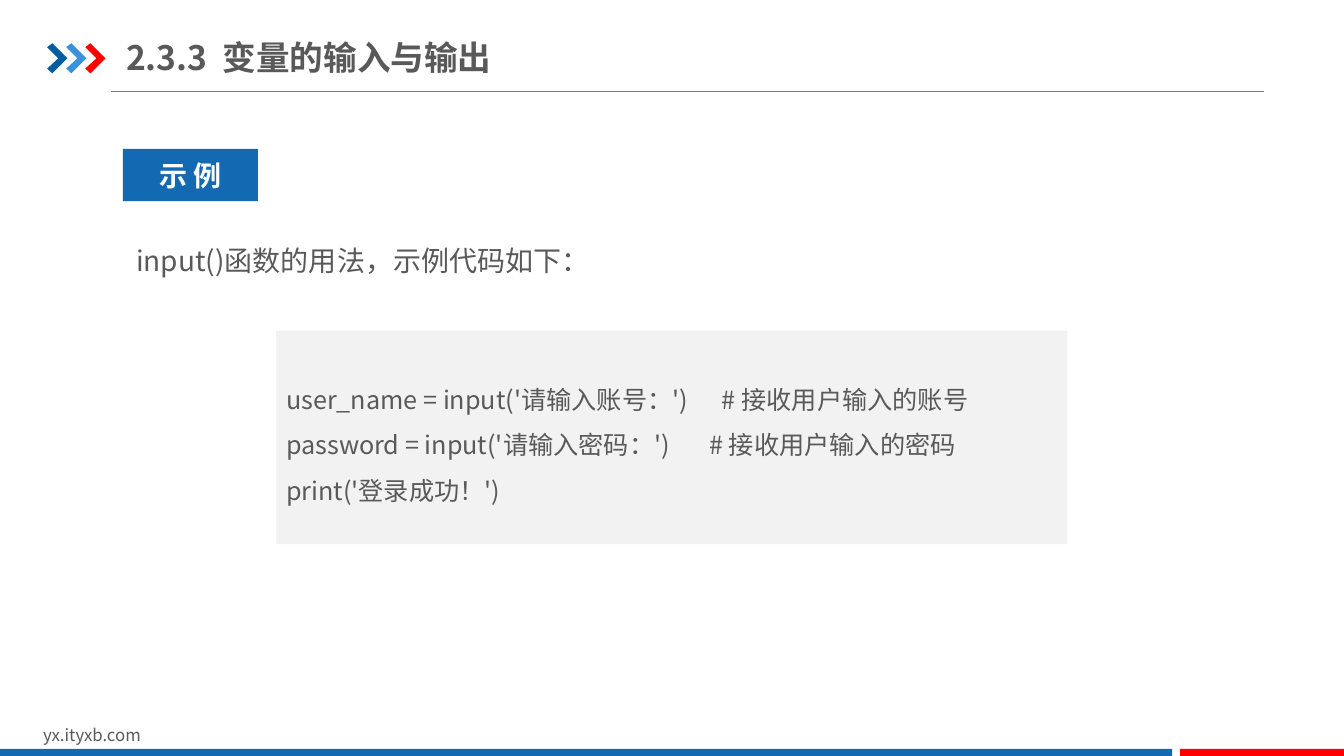
from dataclasses import dataclass
from typing import Optional

from lxml import etree
from pptx import Presentation
from pptx import util as u
from pptx.dml import color
from pptx.enum import shapes, text
from pptx.oxml import ns

FONT = "Noto Sans CJK SC"
GREY = "595959"
BLUE = "1369B2"
RED = "FF0000"
MID = text.MSO_ANCHOR.MIDDLE
TOP = text.MSO_ANCHOR.TOP
LEFT = text.PP_ALIGN.LEFT


@dataclass
class Box:
    left: float
    top: float
    width: float
    height: float
    lines: tuple[str, ...] = ()
    fill: Optional[str] = None
    size: int = 12
    ink: str = GREY
    bold: bool = False
    align: text.PP_ALIGN = LEFT
    anchor: text.MSO_ANCHOR = TOP
    gap: float = 1.0
    inset: tuple[float, float] = (0.25, 0.13)


@dataclass
class Arrow:
    left: float
    fill: str


BOXES = (
    Box(0.84, 18.14, 8.08, 0.76, ("yx.ityxb.com",)),
    Box(0, 18.87, 29.54, 0.18, fill=BLUE),
    Box(29.74, 18.87, 4.13, 0.18, fill=RED),
    Box(3.18, 0.74, 12.75, 1.4, ("2.3.3  变量的输入与输出",), size=24,
        bold=True, anchor=MID, inset=(0, 0.18)),
    Box(3.1, 3.75, 3.4, 1.32, ("示 例",), BLUE, 20, "FFFFFF", True,
        text.PP_ALIGN.CENTER, MID),
    Box(3.1, 5.54, 28.58, 2.18, ("input()函数的用法，示例代码如下：",),
        size=20, align=text.PP_ALIGN.JUSTIFY, gap=1.5, inset=(0.33, 0.18)),
    Box(6.96, 8.33, 19.94, 5.38, (
        "user_name = input('请输入账号：')      # 接收用户输入的账号",
        "password = input('请输入密码：')       # 接收用户输入的密码",
        "print('登录成功！')",
    ), "F2F2F2", 18, anchor=MID, gap=1.5),
)
ARROWS = tuple(
    Arrow(1.19 + 0.48 * i, fill)
    for i, fill in enumerate(("005DA2", "3992DB", RED))
)
EDGE = ((0, 0.1), (0.13, 0), (0.51, 0.38), (0.13, 0.76), (0, 0.64), (0.28, 0.38))


def rgb(code: str) -> color.RGBColor:
    return color.RGBColor.from_string(code)


def paint(shape, fill: str) -> None:
    shape.shadow.inherit = False
    shape.fill.solid()
    shape.fill.fore_color.rgb = rgb(fill)
    shape.line.fill.background()


def write(frame, box: Box) -> None:
    frame.word_wrap = True
    frame.vertical_anchor = box.anchor
    frame.margin_left = frame.margin_right = u.Cm(box.inset[0])
    frame.margin_top = frame.margin_bottom = u.Cm(box.inset[1])
    for i, line in enumerate(box.lines):
        para = frame.add_paragraph() if i else frame.paragraphs[0]
        para.text = line
        para.alignment = box.align
        para.line_spacing = box.gap
        font = para.font
        font.size = u.Pt(box.size)
        font.bold = box.bold
        font.color.rgb = rgb(box.ink)
        font.name = FONT
        props = para._p.pPr.find(ns.qn("a:defRPr"))
        etree.SubElement(props, ns.qn("a:ea"), typeface=FONT)


def add_box(slide, box: Box) -> None:
    area = [u.Cm(n) for n in (box.left, box.top, box.width, box.height)]
    if box.fill:
        shape = slide.shapes.add_shape(shapes.MSO_SHAPE.RECTANGLE, *area)
        paint(shape, box.fill)
    else:
        shape = slide.shapes.add_textbox(*area)
    if box.lines:
        write(shape.text_frame, box)


def add_arrow(slide, arrow: Arrow) -> None:
    pts = [(u.Cm(arrow.left + x), u.Cm(1.09 + y)) for x, y in EDGE]
    form = slide.shapes.build_freeform(*pts[0])
    form.add_line_segments(pts[1:], close=True)
    paint(form.convert_to_shape(), arrow.fill)


def add_rule(slide) -> None:
    rule = slide.shapes.add_connector(
        shapes.MSO_CONNECTOR.STRAIGHT,
        u.Cm(2.79), u.Cm(2.31), u.Cm(31.85), u.Cm(2.31))
    rule.line.color.rgb = rgb("808080")
    rule.line.width = u.Pt(0.75)
    etree.SubElement(rule._element.spPr, ns.qn("a:effectLst"))


def main() -> None:
    deck = Presentation()
    deck.slide_width = u.Cm(33.87)
    deck.slide_height = u.Cm(19.05)
    slide = deck.slides.add_slide(deck.slide_layouts[6])
    add_rule(slide)
    for arrow in ARROWS:
        add_arrow(slide, arrow)
    for box in BOXES:
        add_box(slide, box)
    deck.save("out.pptx")


if __name__ == "__main__":
    main()
